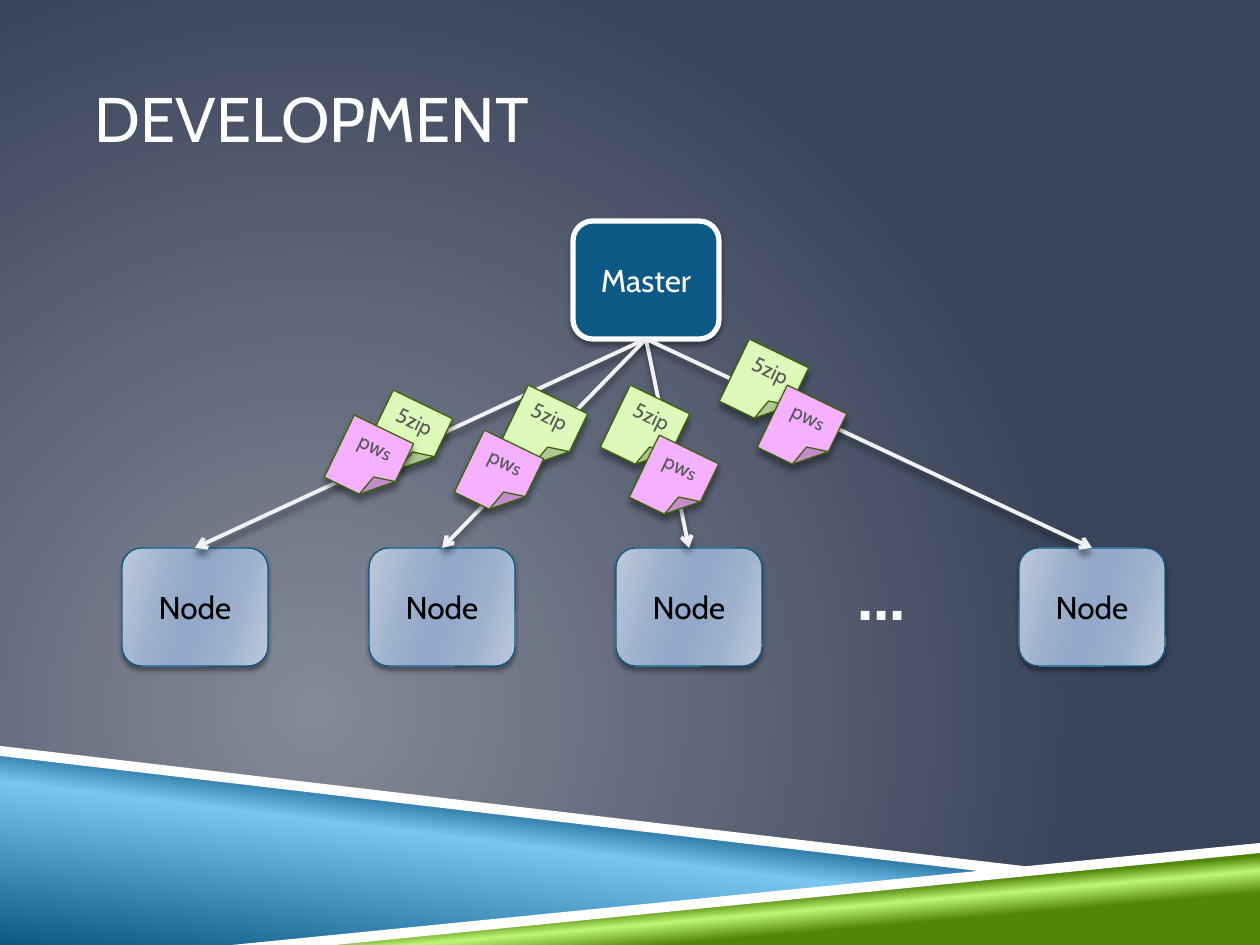
from lxml.etree import SubElement
from pptx import Presentation
from pptx.dml.color import RGBColor
from pptx.enum.shapes import MSO_CONNECTOR, MSO_SHAPE
from pptx.enum.text import MSO_ANCHOR, MSO_AUTO_SIZE, PP_ALIGN
from pptx.oxml.ns import qn
from pptx.util import Pt

PX = 914400 / 126
SLIDE_SIZE = (1260, 945)


class Theme:
    font = "Cabin"
    title_size, body_size, dots_size, note_size, small_size = 36, 18, 40, 12, 10.5
    white, black, dots, note_text = "FFFFFF", "000000", "FCFCFD", "595959"
    blue, green_line, arrow = "0C5986", "3C6507", "F2F2F2"
    green, pink = "DEFABA", "F5B0FF"
    backdrop = {
        "stops": [(0, "858A98"), (100, "394359")],
        "center": {"l": 50, "t": 100, "r": 100, "b": 50},
    }
    blue_band = {"stops": [(0, "0C5986"), (52, "79C6F3"), (66, "0C5986")], "angle": 277}
    green_band = {"stops": [(28, "508709"), (40, "BEF676"), (48, "508709")], "angle": 265}
    node = {
        "stops": [(0, "BDC9DB"), (30, "9DB1CD"), (45, "92A9C9"),
                  (55, "92A9C9"), (73, "9DB1CD"), (100, "BDC9DB")],
        "angle": 16,
    }
    box_shadow = (3, 2)
    note_shadow = (4, 3.3)


BANDS = [
    (Theme.blue_band, [(0, 752), (998, 872), (252, 945), (0, 945)]),
    (Theme.green_band, [(249, 945), (1260, 847), (1260, 945)]),
    (Theme.white, [(0, 746), (0, 756), (995, 873), (1048, 869)]),
    (Theme.white, [(1260, 843), (232, 945), (335, 945), (1260, 853)]),
]
TITLE = ("DEVELOPMENT", (95, 38, 1071, 158))
DOTS = ("...", (845, 544, 96, 97))
BOX_SIZE = (146, 118)
MASTER = ("Master", (573, 221))
NODE_TOP = 548
NODE_LEFTS = [122 + 247 * column for column in range(3)] + [1019]
NOTE_SIZE = (66, 69)
NOTE_TURN = 25.8
NOTE_FOLD = 40900
NOTES = [
    ([("5zip", Theme.note_size)], Theme.green,
     [(375, 401), (510, 396), (612, 396), (731, 350)]),
    ([("pw", Theme.note_size), ("s", Theme.small_size)], Theme.pink,
     [(336, 426), (466, 441), (641, 446), (769, 396)]),
]


def emu(lengths):
    return [round(length * PX) for length in lengths]


def rgb(code):
    return RGBColor.from_string(code)


def add_color(parent, code):
    return SubElement(parent, qn("a:srgbClr"), val=code)


def paint(fill, element, color):
    """Fill with one colour, or with a linear or radial gradient given as a dict."""
    if isinstance(color, str):
        fill.solid()
        fill.fore_color.rgb = rgb(color)
        return
    fill.gradient()
    gradient = element.find(".//" + qn("a:gradFill"))
    for child in list(gradient):
        gradient.remove(child)
    stops = SubElement(gradient, qn("a:gsLst"))
    for position, code in color["stops"]:
        add_color(SubElement(stops, qn("a:gs"), pos=str(position * 1000)), code)
    if "angle" in color:
        SubElement(gradient, qn("a:lin"), ang=str(color["angle"] * 60000), scaled="0")
    else:
        radial = SubElement(gradient, qn("a:path"), path="circle")
        edges = {side: str(share * 1000) for side, share in color["center"].items()}
        SubElement(radial, qn("a:fillToRect"), **edges)


def add_shadow(effects, blur, distance):
    shadow = SubElement(effects, qn("a:outerShdw"), blurRad=str(Pt(blur)),
                        dist=str(Pt(distance)), dir="5400000", rotWithShape="0")
    SubElement(add_color(shadow, Theme.black), qn("a:alpha"), val="40000")


def write(shape, runs, color, bold=False, align=PP_ALIGN.CENTER, **frame_format):
    frame = shape.text_frame
    for name, value in frame_format.items():
        setattr(frame, name, value)
    paragraph = frame.paragraphs[0]
    paragraph.alignment = align
    for text, size in runs:
        run = paragraph.add_run()
        run.text = text
        font_format = {"name": Theme.font, "size": Pt(size), "bold": bold}
        for name, value in font_format.items():
            setattr(run.font, name, value)
        run.font.color.rgb = rgb(color)


def add_panel(shapes, preset, place, color, outline, width, shadow):
    panel = shapes.add_shape(preset, *emu(place))
    paint(panel.fill, panel._element, color)
    panel.line.color.rgb = rgb(outline)
    panel.line.width = Pt(width)
    panel.shadow.inherit = False
    add_shadow(panel._element.spPr.find(qn("a:effectLst")), *shadow)
    return panel


def add_box(shapes, label, corner, color, outline, width, text_color):
    box = add_panel(shapes, MSO_SHAPE.ROUNDED_RECTANGLE, (*corner, *BOX_SIZE),
                    color, outline, width, Theme.box_shadow)
    write(box, [(label, Theme.body_size)], text_color,
          vertical_anchor=MSO_ANCHOR.MIDDLE, word_wrap=True)
    return box


def add_band(shapes, color, points):
    builder = shapes.build_freeform(*points[0], scale=PX)
    builder.add_line_segments(points[1:], close=True)
    band = builder.convert_to_shape()
    paint(band.fill, band._element, color)
    band.line.fill.background()
    band.shadow.inherit = False


def add_arrow(shapes, master, node):
    arrow = shapes.add_connector(MSO_CONNECTOR.STRAIGHT, 0, 0, 0, 0)
    arrow.begin_connect(master, 2)
    arrow.end_connect(node, 0)
    arrow.line.color.rgb = rgb(Theme.arrow)
    arrow.line.width = Pt(2.25)
    properties = arrow._element.spPr
    SubElement(properties.find(qn("a:ln")), qn("a:tailEnd"), type="arrow")
    add_shadow(SubElement(properties, qn("a:effectLst")), *Theme.note_shadow)


def add_note(shapes, runs, color, corner):
    note = add_panel(shapes, MSO_SHAPE.FOLDED_CORNER, (*corner, *NOTE_SIZE),
                     color, Theme.green_line, 0.75, Theme.note_shadow)
    guides = note._element.find(".//" + qn("a:avLst"))
    SubElement(guides, qn("a:gd"), name="adj", fmla=f"val {NOTE_FOLD}")
    note.rotation = NOTE_TURN
    write(note, runs, Theme.note_text, vertical_anchor=MSO_ANCHOR.TOP, word_wrap=False)


def main():
    deck = Presentation()
    deck.slide_width, deck.slide_height = emu(SLIDE_SIZE)
    slide = deck.slides.add_slide(deck.slide_layouts[6])
    shapes = slide.shapes
    paint(slide.background.fill, slide._element, Theme.backdrop)

    for color, points in BANDS:
        add_band(shapes, color, points)

    text, place = TITLE
    write(shapes.add_textbox(*emu(place)), [(text, Theme.title_size)], Theme.white,
          align=PP_ALIGN.LEFT, vertical_anchor=MSO_ANCHOR.MIDDLE, word_wrap=True,
          margin_left=0, margin_right=0)

    label, corner = MASTER
    master = add_box(shapes, label, corner, Theme.blue, Theme.white, 3, Theme.white)
    nodes = [add_box(shapes, "Node", (left, NODE_TOP), Theme.node, Theme.blue, 0.75,
                     Theme.black) for left in NODE_LEFTS]
    for node in nodes:
        add_arrow(shapes, master, node)

    text, place = DOTS
    write(shapes.add_textbox(*emu(place)), [(text, Theme.dots_size)], Theme.dots,
          bold=True, align=PP_ALIGN.LEFT, word_wrap=False,
          auto_size=MSO_AUTO_SIZE.SHAPE_TO_FIT_TEXT)

    for runs, color, corners in NOTES:
        for corner in corners:
            add_note(shapes, runs, color, corner)

    deck.save("out.pptx")


if __name__ == "__main__":
    main()
